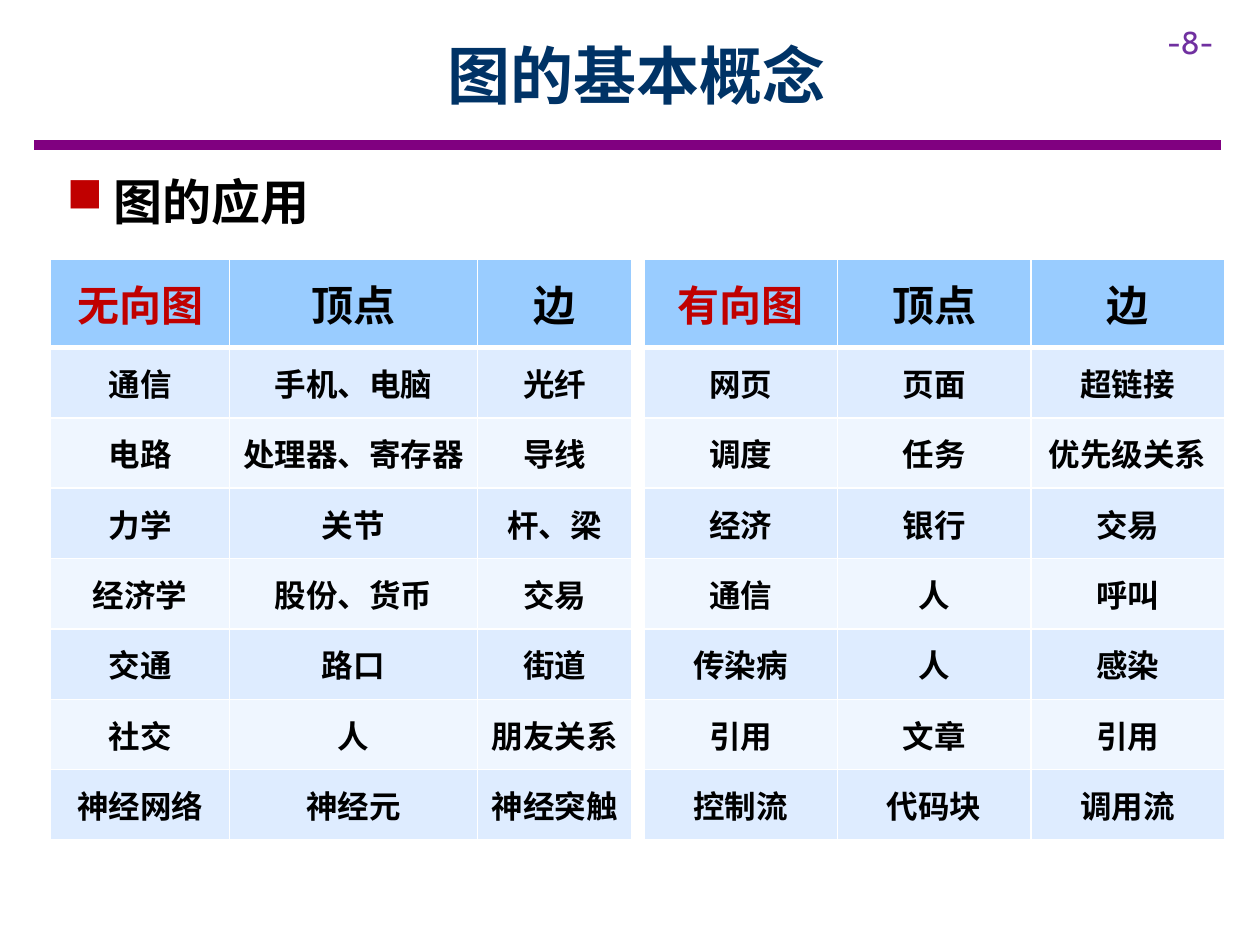
from dataclasses import dataclass

import pptx
import pptx.dml.color
import pptx.enum.shapes
import pptx.enum.text
import pptx.oxml
import pptx.oxml.ns
import pptx.util

Pt = pptx.util.Pt
qn = pptx.oxml.ns.qn
CENTER = pptx.enum.text.PP_ALIGN.CENTER
MIDDLE = pptx.enum.text.MSO_ANCHOR.MIDDLE
HAN = "Noto Sans CJK SC"
NS = 'xmlns:a="http://schemas.openxmlformats.org/drawingml/2006/main"'

RED, BLACK, WHITE = "C00000", "000000", "FFFFFF"
HEAD, BANDS = "99CCFF", ("DEECFF", "EFF6FF")
TOP, HIGH, ROW = 148.2, 50.4, 40.2


@dataclass
class Grid:
    left: float
    cols: tuple[float, ...]
    rows: list[str]


GRIDS = [
    Grid(28.9, (102.2, 141.8, 88), [
        "无向图 顶点 边",
        "通信 手机、电脑 光纤",
        "电路 处理器、寄存器 导线",
        "力学 关节 杆、梁",
        "经济学 股份、货币 交易",
        "交通 路口 街道",
        "社交 人 朋友关系",
        "神经网络 神经元 神经突触",
    ]),
    Grid(367.9, (110.6,) * 3, [
        "有向图 顶点 边",
        "网页 页面 超链接",
        "调度 任务 优先级关系",
        "经济 银行 交易",
        "通信 人 呼叫",
        "传染病 人 感染",
        "引用 文章 引用",
        "控制流 代码块 调用流",
    ]),
]


def color(code: str) -> pptx.dml.color.RGBColor:
    return pptx.dml.color.RGBColor.from_string(code)


def node(xml: str):
    """Make a drawing element from a tag body without its prefix declaration."""
    tag, rest = xml.split(" ", 1)
    return pptx.oxml.parse_xml(f"<a:{tag} {NS} {rest}")


def write(para, text: str, size: float, code: str, name: str = HAN,
          bold: bool = True) -> None:
    run = para.add_run()
    run.text = text
    style = {"size": Pt(size), "name": name, "bold": bold}
    for key, value in style.items():
        setattr(run.font, key, value)
    run.font.color.rgb = color(code)
    run.font._element.find(qn("a:latin")).addnext(node(f'ea typeface="{name}"/>'))


def place(shape, left: float, top: float, width: float, height: float) -> None:
    spots = {"left": left, "top": top, "width": width, "height": height}
    for key, value in spots.items():
        setattr(shape, key, Pt(value))


def label(slide, left: float, top: float, width: float, height: float):
    """Add a wrapping text box and return its first paragraph."""
    box = slide.shapes.add_textbox(Pt(left), Pt(top), Pt(width), Pt(height))
    box.text_frame.word_wrap = True
    return box.text_frame.paragraphs[0]


def edge(cell, side: str, width: float) -> None:
    line = node(f'{side} w="{Pt(width)}"><a:solidFill><a:srgbClr val="{WHITE}"/>'
                f'</a:solidFill></a:{side}>')
    props = cell._tc.get_or_add_tcPr()
    props.insert(len(props.findall("*")) - 1, line)  # the fill stays last


def draw(slide, grid: Grid) -> None:
    frame = slide.shapes.add_table(
        len(grid.rows), len(grid.cols), Pt(grid.left), Pt(TOP),
        Pt(sum(grid.cols)), Pt(HIGH + ROW * (len(grid.rows) - 1)))
    table = frame.table
    for col, width in zip(table.columns, grid.cols):
        col.width = Pt(width)
    for r, line in enumerate(grid.rows):
        table.rows[r].height = Pt(ROW if r else HIGH)
        for c, text in enumerate(line.split()):
            cell = table.cell(r, c)
            cell.vertical_anchor = MIDDLE
            cell.margin_left = cell.margin_right = Pt(3)
            cell.fill.solid()
            cell.fill.fore_color.rgb = color(BANDS[(r - 1) % 2] if r else HEAD)
            for side in ("lnL", "lnR", "lnT", "lnB"):
                thick = (r, side) in ((0, "lnB"), (1, "lnT"))
                edge(cell, side, 3 if thick else 1)
            para = cell.text_frame.paragraphs[0]
            para.alignment = CENTER
            write(para, text, 18 if r else 24, BLACK if r or c else RED)


def main() -> None:
    deck = pptx.Presentation()
    deck.slide_width, deck.slide_height = Pt(720), Pt(540)
    slide = deck.slides.add_slide(deck.slide_layouts[5])

    rule = slide.shapes.add_connector(
        pptx.enum.shapes.MSO_CONNECTOR.STRAIGHT,
        Pt(19.6), Pt(82.8), Pt(697.6), Pt(82.8))
    rule.line.width = Pt(6)
    rule.line.color.rgb = color("800080")
    rule._element.spPr.append(node("effectLst />"))

    write(label(slide, 660, 9.4, 60, 29), "-8-", 18, "7030A0", "Cabin", False)

    title = slide.shapes.title
    place(title, 64.8, 6.5, 598.4, 72)
    title.text_frame.vertical_anchor = MIDDLE
    para = title.text_frame.paragraphs[0]
    para.alignment = CENTER
    write(para, "图的基本概念", 36, "003366")

    for grid in GRIDS:
        draw(slide, grid)

    para = label(slide, 31, 94.3, 204, 41)
    para.space_after = Pt(3)
    props = para._p.get_or_add_pPr()
    for key, value in {"marL": 27, "indent": -27}.items():
        props.set(key, str(Pt(value)))
    for xml in (f'buClr ><a:srgbClr val="{RED}"/></a:buClr>',
                'buFont typeface="Wingdings"/>', 'buChar char="n"/>'):
        props.append(node(xml))
    write(para, "图的应用", 28, BLACK)

    deck.save("out.pptx")


if __name__ == "__main__":
    main()
